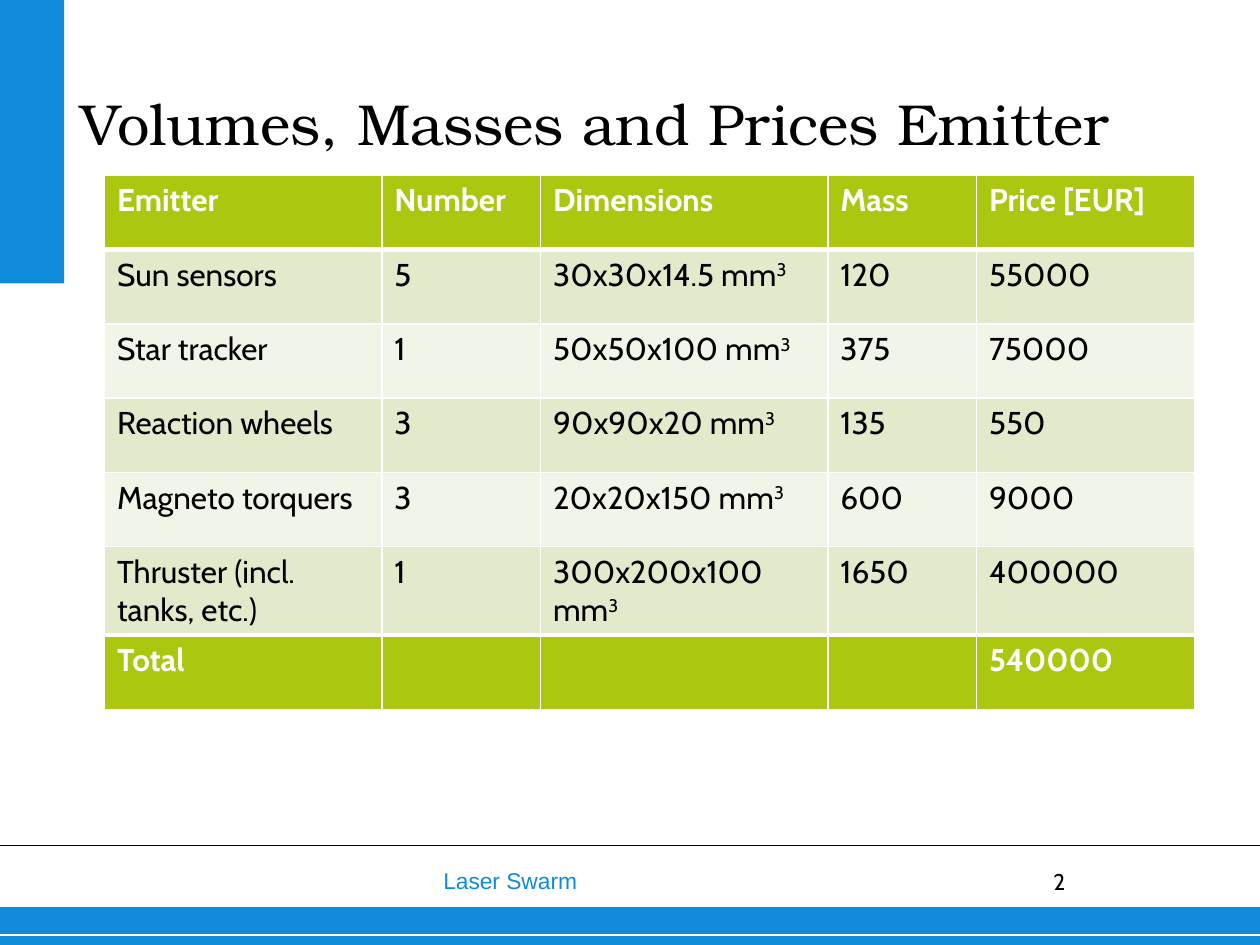
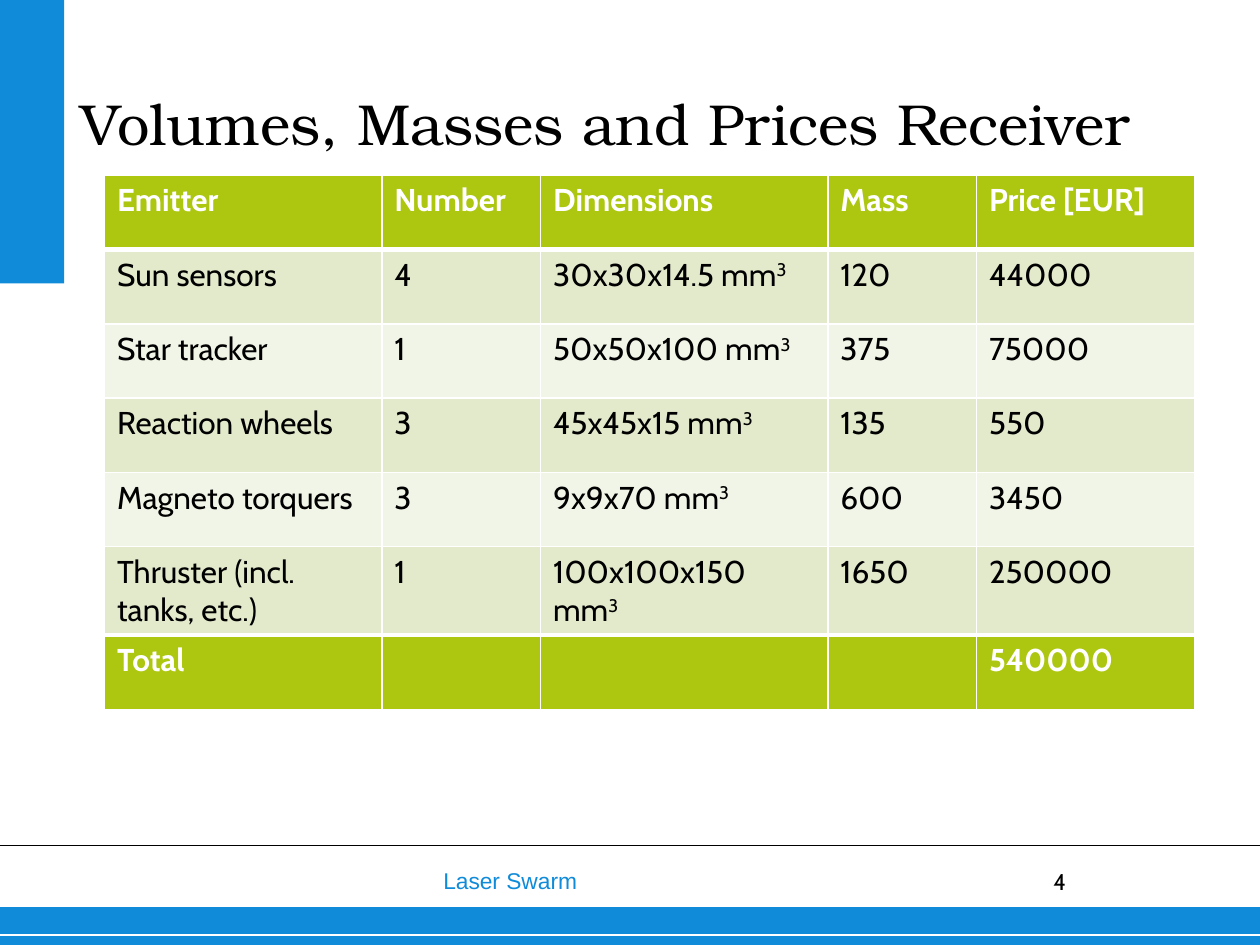
from lxml import etree
from pptx import Presentation
from pptx.dml.color import RGBColor
from pptx.enum import shapes, text
from pptx.oxml import ns
from pptx.util import Inches, Pt

BLUE = RGBColor(0x10, 0x8B, 0xD9)
GREEN = RGBColor(0xAD, 0xC6, 0x10)
PALE = RGBColor(0xE3, 0xEA, 0xCC)
PALER = RGBColor(0xF1, 0xF5, 0xE7)
BLACK = RGBColor(0, 0, 0)
WHITE = RGBColor(0xFF, 0xFF, 0xFF)

TITLE_FONT, BODY_FONT, FOOTER_FONT = "TeX Gyre Bonum", "Cabin", "Arial"
COL_WIDTHS = [2.2, 1.26, 2.28, 1.18, 1.73]
ROW_HEIGHT = 0.59
HEADER = ["Emitter", "Number", "Dimensions", "Mass", "Price [EUR]"]
TOTAL = ["Total", "", "", "", "540000"]
PARTS = ["Sun sensors", "Star tracker", "Reaction wheels", "Magneto torquers",
         "Thruster (incl. tanks, etc.)"]
MASSES = ["120", "375", "135", "600", "1650"]

SLIDES = [
    ("Volumes, Masses and Prices Emitter", "2",
     ["5", "1", "3", "3", "1"],
     ["30x30x14.5", "50x50x100", "90x90x20", "20x20x150", "300x200x100"],
     ["55000", "75000", "550", "9000", "400000"]),
    ("Volumes, Masses and Prices Receiver", "4",
     ["4", "1", "3", "3", "1"],
     ["30x30x14.5", "50x50x100", "45x45x15", "9x9x70", "100x100x150"],
     ["44000", "75000", "550", "3450", "250000"]),
]


def style(p, font, size, color, bold=False):
    """Set the font of a whole paragraph."""
    p.font.name, p.font.size, p.font.bold = font, Pt(size), bold
    p.font.color.rgb = color


def no_margins(tf):
    """Remove the insets of a text frame."""
    tf.margin_left = tf.margin_top = tf.margin_right = tf.margin_bottom = 0


def add_band(s, left, top, width, height):
    """Add a plain blue rectangle."""
    sp = s.shapes.add_shape(shapes.MSO_SHAPE.RECTANGLE, Inches(left), Inches(top),
                            Inches(width), Inches(height))
    sp.shadow.inherit = False
    sp.fill.solid()
    sp.fill.fore_color.rgb = BLUE
    sp.line.fill.background()


def add_rule(s, top, color, weight):
    """Add a horizontal line across the slide."""
    line = s.shapes.add_connector(shapes.MSO_CONNECTOR.STRAIGHT, 0, Inches(top),
                                  Inches(10), Inches(top))
    line.line.color.rgb = color
    line.line.width = Pt(weight)
    etree.SubElement(line._element.spPr, ns.qn("a:effectLst"))


def add_text(s, content, left, top, width, height, font, color):
    """Add a footer text box and return its text frame."""
    tf = s.shapes.add_textbox(Inches(left), Inches(top), Inches(width),
                              Inches(height)).text_frame
    tf.word_wrap = True
    tf.text = content
    style(tf.paragraphs[0], font, 13, color)
    return tf


def add_frame(s, number):
    """Add the bands, lines and footer that every slide has."""
    no_margins(add_text(s, number, 8.36, 6.89, 0.59, 0.28, BODY_FONT, BLACK))
    add_band(s, 0, 7.2, 10, 0.3)
    add_rule(s, 7.42, WHITE, 0.75)
    add_rule(s, 6.71, BLACK, 1)
    add_text(s, "Laser Swarm", 3.42, 6.83, 4.83, 0.32, FOOTER_FONT, BLUE)
    add_band(s, 0, 0, 0.51, 2.25)


def set_title(s, content):
    """Fill and place the title placeholder."""
    sp = s.shapes.title
    sp.left, sp.top, sp.width, sp.height = map(Inches, (0.64, 0.08, 8.93, 1.17))
    tf = sp.text_frame
    tf.text = content
    no_margins(tf)
    tf.auto_size = text.MSO_AUTO_SIZE.NONE
    tf.vertical_anchor = text.MSO_ANCHOR.BOTTOM
    p = tf.paragraphs[0]
    p.alignment = text.PP_ALIGN.LEFT
    style(p, TITLE_FONT, 33, BLACK)


def set_borders(cell, top, bottom):
    """Give a cell white borders, with top and bottom weights in points."""
    tcPr = cell._tc.get_or_add_tcPr()
    for side, weight in (("L", 1), ("R", 1), ("T", top), ("B", bottom)):
        ln = etree.SubElement(tcPr, ns.qn(f"a:ln{side}"), w=str(Pt(weight)))
        fill = etree.SubElement(ln, ns.qn("a:solidFill"))
        etree.SubElement(fill, ns.qn("a:srgbClr"), val=str(WHITE))


def fill_cell(cell, content, fill, color, bold):
    """Write a cell, raising the exponent of a volume."""
    cell.fill.solid()
    cell.fill.fore_color.rgb = fill
    p = cell.text_frame.paragraphs[0]
    style(p, BODY_FONT, 18, color, bold)
    base, cubed, _ = content.partition("³")
    if base:
        p.add_run().text = base
    if cubed:
        r = p.add_run()
        r.text = "3"
        r.font._element.set("baseline", "30000")


def add_parts_table(s, rows):
    """Add the table with its header, shaded rows and total."""
    table = s.shapes.add_table(len(rows), len(COL_WIDTHS), Inches(0.83), Inches(1.39),
                               Inches(sum(COL_WIDTHS)),
                               Inches(ROW_HEIGHT * len(rows))).table
    for column, width in zip(table.columns, COL_WIDTHS):
        column.width = Inches(width)
    last = len(rows) - 1
    for i, row in enumerate(rows):
        strong = i in (0, last)
        fill = GREEN if strong else PALE if i % 2 else PALER
        top = 3 if i in (1, last) else 1
        bottom = 3 if i in (0, last - 1) else 1
        for j, content in enumerate(row):
            cell = table.cell(i, j)
            set_borders(cell, top, bottom)
            fill_cell(cell, content, fill, WHITE if strong else BLACK, strong)


def main():
    """Build the slides and save them."""
    prs = Presentation()
    prs.slide_width, prs.slide_height = Inches(10), Inches(7.5)
    for title, number, counts, sizes, prices in SLIDES:
        s = prs.slides.add_slide(prs.slide_layouts[5])
        add_frame(s, number)
        set_title(s, title)
        volumes = [f"{size} mm³" for size in sizes]
        parts = zip(PARTS, counts, volumes, MASSES, prices)
        add_parts_table(s, [HEADER, *parts, TOTAL])
    prs.save("out.pptx")


if __name__ == "__main__":
    main()
